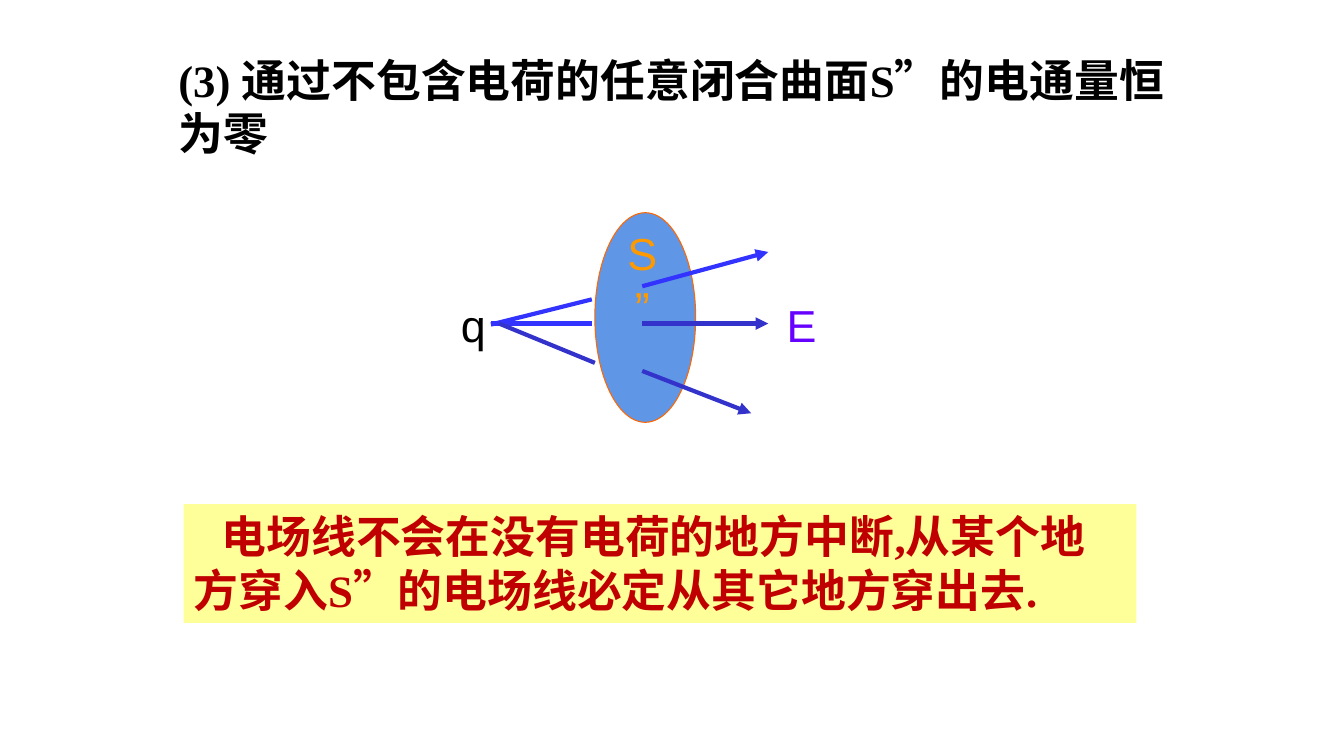
from lxml import etree
from pptx import Presentation
from pptx.dml.color import RGBColor
from pptx.enum.shapes import MSO_CONNECTOR, MSO_SHAPE
from pptx.enum.text import MSO_ANCHOR, PP_ALIGN
from pptx.oxml.ns import qn
from pptx.util import Inches, Pt

STRAIGHT = MSO_CONNECTOR.STRAIGHT
OVAL, RECT = MSO_SHAPE.OVAL, MSO_SHAPE.RECTANGLE
LEFT, CENTER, TOP = PP_ALIGN.LEFT, PP_ALIGN.CENTER, MSO_ANCHOR.TOP
LATIN, SANS, CJK = "Times New Roman", "Arial", "Noto Sans CJK SC"
BLUE, DARK_BLUE = "3333FF", "3333CC"

FIELD_LINES = [
    (6.37, 2.84, 7.62, 2.5, BLUE, True),
    (4.87, 3.22, 5.87, 2.97, BLUE, False),
    (4.87, 3.21, 5.87, 3.21, BLUE, False),
    (6.37, 3.21, 7.62, 3.21, DARK_BLUE, True),
    (4.95, 3.21, 5.9, 3.6, DARK_BLUE, False),
    (6.37, 3.68, 7.45, 4.1, DARK_BLUE, True),
]
LABELS = [
    ("E", 7.7, 2.9, 0.5, "6600FF"),
    ("q", 4.47, 2.9, 0.45, "000000"),
    ("S”", 6.05, 2.19, 0.64, "FF9900"),
]


def rgb(color):
    return RGBColor.from_string(color)


def write(sp, text, color, font, bold=False, align=LEFT, wrap=True):
    tf = sp.text_frame
    tf.text = text
    tf.word_wrap = wrap
    tf.vertical_anchor = TOP
    p = tf.paragraphs[0]
    p.alignment = align
    r = p.runs[0]
    r.font.name = font
    r.font.size = Pt(32)
    r.font.bold = bold
    r.font.color.rgb = rgb(color)
    if font == LATIN:
        etree.SubElement(r.font._element, qn("a:ea"), typeface=CJK)


def add_text(s, text, x, y, w, h, color, font, **style):
    sp = s.shapes.add_textbox(Inches(x), Inches(y), Inches(w), Inches(h))
    write(sp, text, color, font, **style)


def add_shape(s, kind, x, y, w, h, fill, outline=None):
    sp = s.shapes.add_shape(kind, Inches(x), Inches(y), Inches(w), Inches(h))
    sp.shadow.inherit = False
    sp.fill.solid()
    sp.fill.fore_color.rgb = rgb(fill)
    if outline:
        sp.line.color.rgb = rgb(outline)
        sp.line.width = Pt(0.75)
    else:
        sp.line.fill.background()
    return sp


def add_field_line(s, x1, y1, x2, y2, color, arrow):
    line = s.shapes.add_connector(
        STRAIGHT, Inches(x1), Inches(y1), Inches(x2), Inches(y2))
    line.line.color.rgb = rgb(color)
    line.line.width = Pt(3)
    if arrow:
        etree.SubElement(line.line._get_or_add_ln(), qn("a:tailEnd"), type="triangle")
    etree.SubElement(line._element.spPr, qn("a:effectLst"))


def main():
    """Build the slide on electric flux through a surface without charge."""
    prs = Presentation()
    prs.slide_width, prs.slide_height = Inches(13.33), Inches(7.5)
    s = prs.slides.add_slide(prs.slide_layouts[6])
    add_text(s, "(3) 通过不包含电荷的任意闭合曲面S”的电通量恒为零",
             1.67, 0.47, 10, 1.18, "000000", LATIN, bold=True)
    add_shape(s, OVAL, 5.9, 2.11, 1, 2.08, "6096E6", "FF6600")
    for field_line in FIELD_LINES:
        add_field_line(s, *field_line)
    for text, x, y, w, color in LABELS:
        add_text(s, text, x, y, w, 0.64, color, SANS, align=CENTER, wrap=False)
    note = add_shape(s, RECT, 1.82, 5, 9.45, 1.18, "FFFF99")
    write(note, "电场线不会在没有电荷的地方中断,从某个地方穿入S”的电场线必定从其它地方穿出去.",
          "C00000", LATIN, bold=True)
    note.text_frame.paragraphs[0]._p.get_or_add_pPr().set("indent", str(Inches(0.28)))
    prs.save("out.pptx")


if __name__ == "__main__":
    main()
